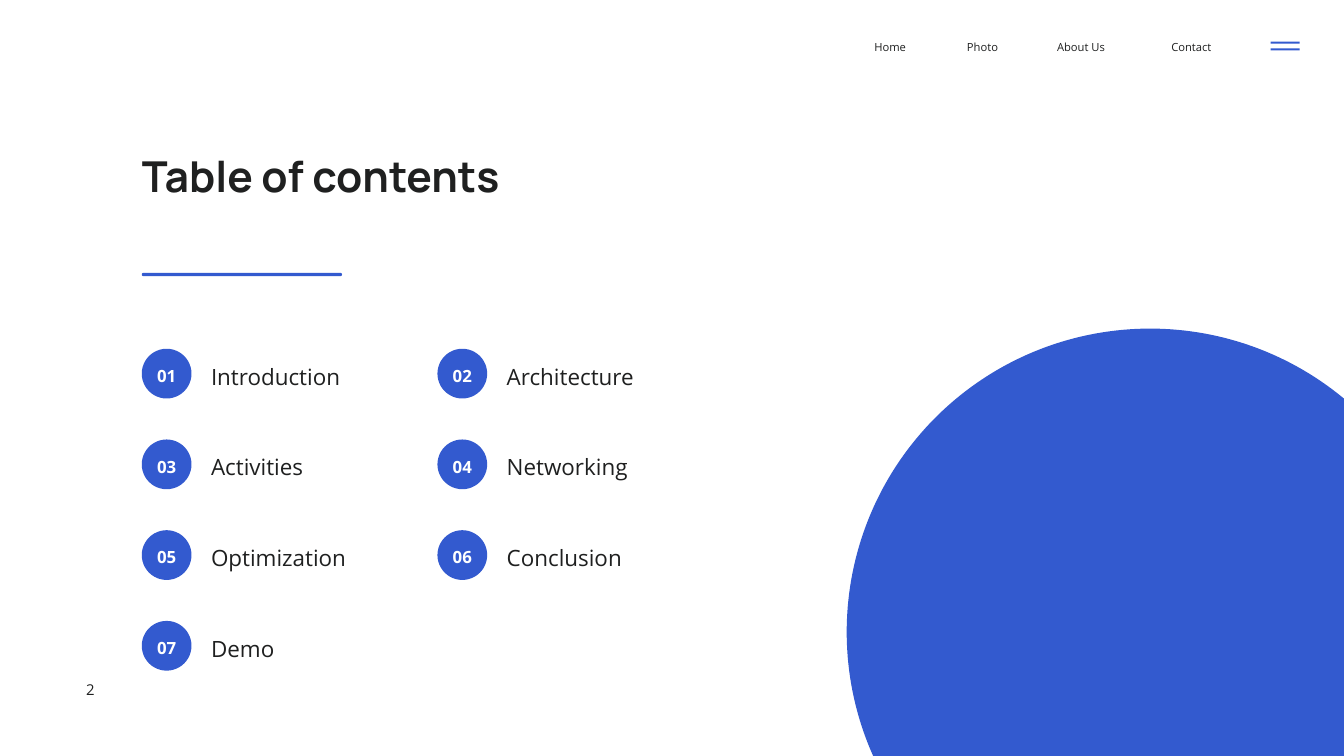
from dataclasses import dataclass

from pptx import Presentation
from pptx import util as u
from pptx.dml.color import RGBColor
from pptx.enum import shapes, text


@dataclass(frozen=True)
class Theme:
    blue: str = "335ACF"
    ink: str = "1F2020"
    white: str = "FFFFFF"
    heading_font: str = "Manrope"
    body_font: str = "Open Sans"
    title_size: float = 45.6
    item_size: float = 24
    number_size: float = 18
    page_size: float = 16
    menu_size: float = 12
    leading: float = 1.4
    title_leading: float = 1.17


def format_text(frame, words, *, font, size, color, leading, bold=False,
                align=text.PP_ALIGN.LEFT):
    frame.margin_left = frame.margin_right = 0
    frame.margin_top = frame.margin_bottom = 0
    frame.word_wrap = True
    frame.vertical_anchor = text.MSO_ANCHOR.TOP
    para = frame.paragraphs[0]
    para.alignment = align
    para.line_spacing = u.Pt(round(size * leading, 1))
    span = para.add_run()
    span.text = words
    span.font.name = font
    span.font.size = u.Pt(size)
    span.font.bold = bold
    span.font.color.rgb = RGBColor.from_string(color)


class SlideBuilder:
    def __init__(self, page, theme):
        self.page = page
        self.theme = theme

    def shape(self, kind, left, top, width, height):
        shape = self.page.shapes.add_shape(
            kind, u.Inches(left), u.Inches(top), u.Inches(width), u.Inches(height))
        shape.shadow.inherit = False
        shape.fill.solid()
        shape.fill.fore_color.rgb = RGBColor.from_string(self.theme.blue)
        shape.line.fill.background()
        return shape

    def bar(self, left, top, width, height):
        return self.shape(shapes.MSO_SHAPE.RECTANGLE, left, top, width, height)

    def rounded_bar(self, left, top, width, height):
        bar = self.shape(shapes.MSO_SHAPE.ROUNDED_RECTANGLE, left, top, width, height)
        bar.adjustments[0] = 0.5

    def circle(self, left, top, size):
        return self.shape(shapes.MSO_SHAPE.OVAL, left, top, size, size)

    def label(self, words, left, top, width, height, size, **style):
        box = self.page.shapes.add_textbox(
            u.Inches(left), u.Inches(top), u.Inches(width), u.Inches(height))
        style = {"font": self.theme.body_font, "color": self.theme.ink,
                 "leading": self.theme.leading, **style}
        format_text(box.text_frame, words, size=size, **style)

    def entry(self, number, topic, left, top):
        theme = self.theme
        self.circle(left, top, 0.74)
        self.label(topic, left + 1.03, top + 0.14, 2.45, 0.43, theme.item_size)
        self.label(f"{number:02}", left + 0.1, top + 0.2, 0.54, 0.33,
                   theme.number_size, color=theme.white, bold=True,
                   align=text.PP_ALIGN.CENTER)


def main():
    deck = Presentation()
    deck.slide_width = u.Inches(20)
    deck.slide_height = u.Inches(11.25)
    theme = Theme()
    page = deck.slides.add_slide(deck.slide_layouts[6])
    page.background.fill.solid()
    page.background.fill.fore_color.rgb = RGBColor.from_string(theme.white)
    builder = SlideBuilder(page, theme)

    for top in (0.62, 0.72):
        builder.bar(18.91, top, 0.43, 0.03)
    builder.circle(12.6, 4.89, 9.03)

    menu = [("Home", 13.01, 0.89), ("Photo", 14.39, 0.8),
            ("About Us", 15.73, 1.16), ("Contact", 17.43, 1.07)]
    for words, left, width in menu:
        builder.label(words, left, 0.57, width, 0.22, theme.menu_size)

    builder.label("Table of contents", 2.11, 2.25, 5.45, 1.54, theme.title_size,
                  font=theme.heading_font, leading=theme.title_leading, bold=True)
    builder.rounded_bar(2.11, 4.06, 2.98, 0.05)

    topics = ["Introduction", "Architecture", "Activities", "Networking",
              "Optimization", "Conclusion", "Demo"]
    for index, topic in enumerate(topics):
        row, column = divmod(index, 2)
        builder.entry(index + 1, topic, 2.11 + column * 4.4, 5.19 + row * 1.35)

    builder.label("2", 1.28, 10.09, 1.69, 0.29, theme.page_size)
    deck.save("out.pptx")


if __name__ == "__main__":
    main()
